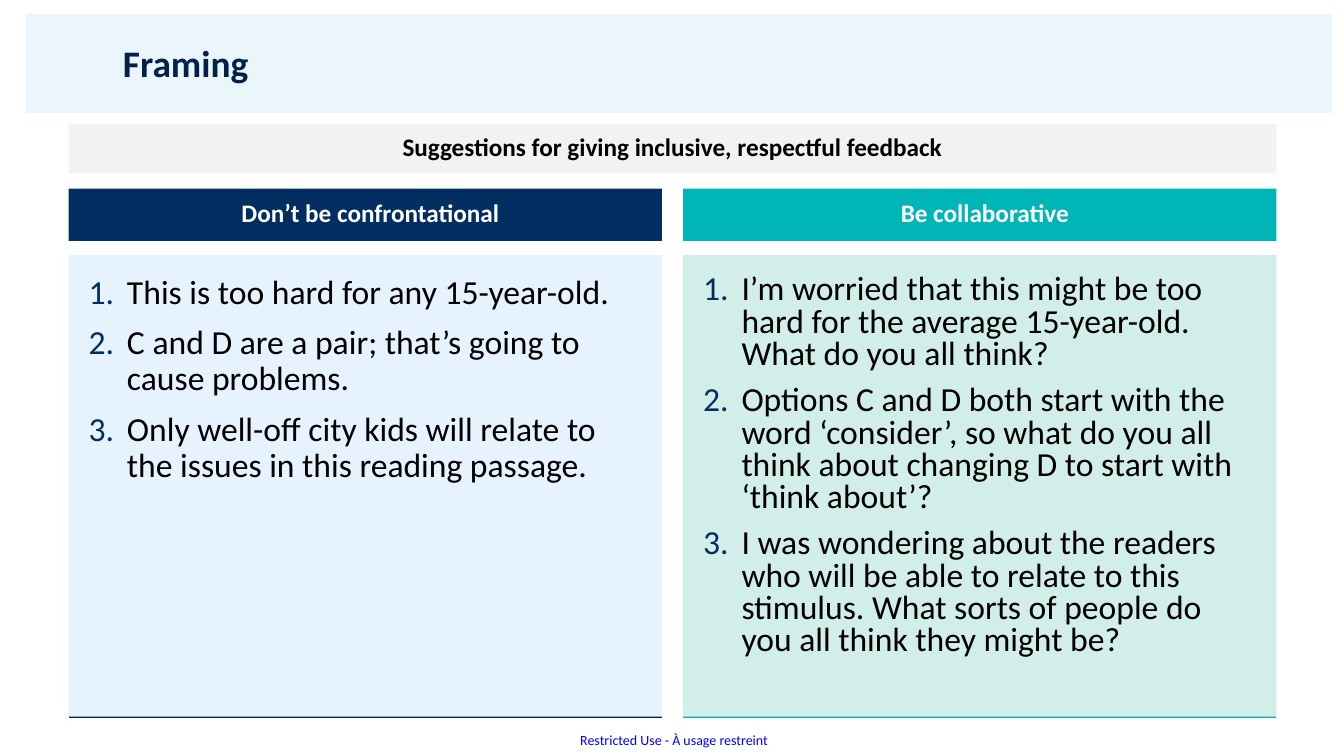
from lxml import etree
from pptx import Presentation
from pptx.dml.color import RGBColor
from pptx.enum.shapes import MSO_CONNECTOR, MSO_SHAPE
from pptx.enum.text import MSO_ANCHOR, PP_ALIGN
from pptx.oxml.ns import qn
from pptx.util import Inches, Pt

STRAIGHT = MSO_CONNECTOR.STRAIGHT
RECT = MSO_SHAPE.RECTANGLE
MIDDLE, TOP = MSO_ANCHOR.MIDDLE, MSO_ANCHOR.TOP
LEFT, CENTER = PP_ALIGN.LEFT, PP_ALIGN.CENTER

FONT = "Calibri"
COLORS = {
    "band": "6FC5D5", "title": "022249", "footer": "0000FF",
    "black": "000000", "white": "FFFFFF", "grey": "F2F2F2",
    "navy": "032E61", "pale_blue": "E7F2FF",
    "teal": "00B5B5", "pale_teal": "D2EEE9",
}
DONT = [
    "This is too hard for any 15-year-old.",
    "C and D are a pair; that’s going to cause problems.",
    "Only well-off city kids will relate to the issues in this reading passage.",
]
DO = [
    "I’m worried that this might be too hard for the average 15-year-old. "
    "What do you all think?",
    "Options C and D both start with the word ‘consider’, so what do you all "
    "think about changing D to start with ‘think about’?",
    "I was wondering about the readers who will be able to relate to this "
    "stimulus. What sorts of people do you all think they might be?",
]


def rgb(name):
    return RGBColor.from_string(COLORS[name])


def add_rect(slide, box, color):
    sp = slide.shapes.add_shape(RECT, *map(Inches, box))
    sp.shadow.inherit = False
    sp.fill.solid()
    sp.fill.fore_color.rgb = rgb(color)
    sp.line.fill.background()
    return sp


def add_rule(slide, x1, x2, y, color):
    line = slide.shapes.add_connector(STRAIGHT, *map(Inches, (x1, y, x2, y)))
    line.line.color.rgb = rgb(color)
    line.line.width = Pt(2)
    etree.SubElement(line._element.spPr, qn("a:effectLst"))


def write(sp, lines, size, color, bold=False, align=CENTER, anchor=MIDDLE,
          insets=(0.1, 0.05, 0.1, 0.05), spacing=0.9, before=0):
    tf = sp.text_frame
    tf.word_wrap = True
    tf.vertical_anchor = anchor
    tf.margin_left, tf.margin_top, tf.margin_right, tf.margin_bottom = map(Inches, insets)
    tf.text = "\n".join(lines)
    for p in tf.paragraphs:
        p.alignment = align
        p.line_spacing = spacing
        p.space_before = Pt(before)
        for r in p.runs:
            r.font.name = FONT
            r.font.size = Pt(size)
            r.font.bold = bold
            r.font.color.rgb = rgb(color)


def number(p, color):
    """Give the paragraph a hanging, coloured number."""
    pPr = p._p.get_or_add_pPr()
    pPr.set("marL", str(Inches(0.38)))
    pPr.set("indent", str(-Inches(0.38)))
    bu_clr = etree.SubElement(pPr, qn("a:buClr"))
    etree.SubElement(bu_clr, qn("a:srgbClr"), val=COLORS[color])
    etree.SubElement(pPr, qn("a:buFont"), typeface="+mj-lt")
    etree.SubElement(pPr, qn("a:buAutoNum"), type="arabicPeriod")


def add_title_band(slide, box, title):
    x, y, w, h = box
    band = add_rect(slide, box, "band")
    clr = band.fill._xPr.find(qn("a:solidFill"))[0]
    etree.SubElement(clr, qn("a:alpha"), val="14000")
    text_box = (x + 0.86, y + 0.04, w - 1.5, h - 0.04)
    tb = slide.shapes.add_textbox(*map(Inches, text_box))
    write(tb, [title], 26.7, "title", bold=True, align=LEFT)


def add_column(slide, box, heading, items, head_color, body_color, rule_color, spacing):
    x, y, w, h = box
    head_h, gap = 0.52, 0.14
    body_y = y + head_h + gap
    add_rule(slide, x, x + w, y + h, rule_color)
    body = add_rect(slide, (x, body_y, w, y + h - body_y), body_color)
    write(body, items, 24, "black", align=LEFT, anchor=TOP,
          insets=(0.2,) * 4, spacing=spacing, before=10)
    for p in body.text_frame.paragraphs:
        number(p, "navy")
    head = add_rect(slide, (x, y, w, head_h), head_color)
    write(head, [heading], 18, "white", bold=True,
          insets=(0.2, 0.05, 0.1, 0.05), before=10)


def add_footer(slide, box, text):
    tb = slide.shapes.add_textbox(*map(Inches, box))
    write(tb, [text], 10, "footer", anchor=TOP, insets=(0,) * 4, spacing=1.0)
    tb.text_frame.word_wrap = False


def main():
    prs = Presentation()
    prs.slide_width, prs.slide_height = Inches(13.33), Inches(7.5)
    slide = prs.slides.add_slide(prs.slide_layouts[6])

    left, width, gap = 0.68, 11.98, 0.21
    col_w = (width - gap) / 2
    add_title_band(slide, (0.26, 0.14, 12.95, 0.98), "Framing")
    add_footer(slide, (5.73, 7.26, 1.91, 0.17), "Restricted Use - À usage restreint")

    columns = [
        ("Don’t be confrontational", DONT, "navy", "pale_blue", "title", 0.9),
        ("Be collaborative", DO, "teal", "pale_teal", "teal", 0.8),
    ]
    for i, column in enumerate(columns):
        add_column(slide, (left + i * (col_w + gap), 1.87, col_w, 5.24), *column)

    banner = add_rect(slide, (left, 1.23, width, 0.49), "grey")
    write(banner, ["Suggestions for giving inclusive, respectful feedback"],
          18, "black", bold=True, before=10)
    prs.save("out.pptx")


if __name__ == "__main__":
    main()
